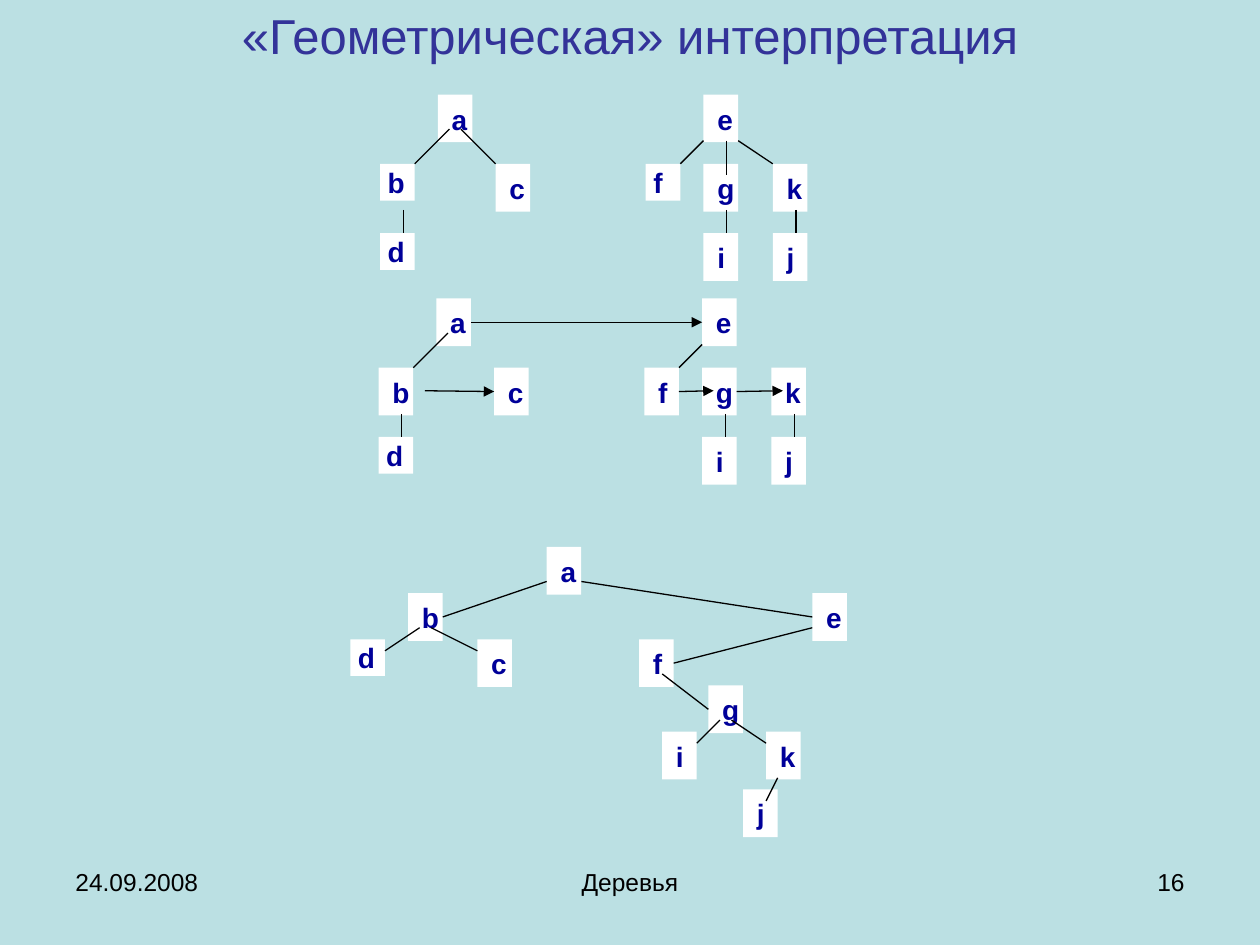
import pptx
import pptx.dml.color
import pptx.enum.shapes
import pptx.enum.text
import pptx.oxml.ns
import pptx.util
from lxml import etree

Pt = pptx.util.Pt
RGBColor = pptx.dml.color.RGBColor
ALIGN = pptx.enum.text.PP_ALIGN
ANCHOR = pptx.enum.text.MSO_ANCHOR
RECTANGLE = pptx.enum.shapes.MSO_SHAPE.RECTANGLE
STRAIGHT = pptx.enum.shapes.MSO_CONNECTOR.STRAIGHT

BACKGROUND = RGBColor(0xBB, 0xE0, 0xE3)
TITLE_COLOR = RGBColor(0x33, 0x33, 0x99)
LETTER_COLOR = RGBColor(0x00, 0x00, 0x99)
WHITE = RGBColor(0xFF, 0xFF, 0xFF)
BLACK = RGBColor(0x00, 0x00, 0x00)

# Text, (left, top, width, height), size, colour, alignment, anchor
CAPTIONS = [
    ("«Геометрическая» интерпретация", (36, 0, 648, 40.3), 28, TITLE_COLOR,
     ALIGN.CENTER, ANCHOR.MIDDLE),
    ("24.09.2008", (36, 492, 168, 37.5), 14, BLACK, ALIGN.LEFT, ANCHOR.TOP),
    ("Деревья", (246, 492, 228, 37.5), 14, BLACK, ALIGN.CENTER, ANCHOR.TOP),
    ("16", (516, 492, 168, 37.5), 14, BLACK, ALIGN.RIGHT, ANCHOR.TOP),
]

# Nodes and line ends are in grid steps from the origin of each tree.
GRID = 6.6
NODE_STEPS = 3
MIDDLE_STEPS = 2
NODE_HEIGHT, COMPACT_HEIGHT = 27.3, 21
NODE_INSETS, COMPACT_INSETS = (7.9, 4.3), (4.3, 0.7)

FOREST_NODES = {
    "a": (5, 0), "b": (0, 6), "c": (10, 6), "d": (0, 12), "e": (28, 0),
    "f": (23, 6), "g": (28, 6), "k": (34, 6), "i": (28, 12), "j": (34, 12),
}
BINARY_NODES = {
    "a": (17, 0), "b": (5, 4), "c": (11, 8), "d": (0, 8), "e": (40, 4),
    "f": (25, 8), "g": (31, 12), "k": (36, 16), "i": (27, 16), "j": (34, 21),
}
SHARED_EDGES = [
    ((6, 3), (3, 6)), ((2, 10), (2, 12)), ((28, 4), (26, 6)),
    ((30, 10), (30, 12)), ((36, 10), (36, 12)),
]
TREES = [
    {"origin": (217.2, 54), "nodes": FOREST_NODES, "compact": "bdf",
     "edges": SHARED_EDGES + [((7, 3), (10, 6)), ((30, 4), (30, 7)),
                              ((31, 4), (34, 6))],
     "arrows": []},
    {"origin": (216.4, 170.5), "nodes": FOREST_NODES, "compact": "d",
     "edges": SHARED_EDGES,
     "arrows": [((8, 2), (28, 2)), ((4, 8), (10, 8)),
                ((26, 8), (29, 8)), ((31, 8), (35, 8))]},
    {"origin": (200.2, 312.5), "nodes": BINARY_NODES, "compact": "d",
     "edges": [((8, 6), (17, 3)), ((20, 3), (40, 6)), ((6, 7), (3, 9)),
               ((7, 7), (11, 9)), ((40, 7), (28, 10)), ((27, 11), (31, 14)),
               ((33, 15), (36, 17)), ((37, 20), (36, 22)),
               ((32, 15), (30, 17))],
     "arrows": []},
]


def write(frame, text, insets, anchor, align, font):
    frame_format = {
        "word_wrap": True, "vertical_anchor": anchor,
        "margin_left": Pt(insets[0]), "margin_right": Pt(insets[0]),
        "margin_top": Pt(insets[1]), "margin_bottom": Pt(insets[1]),
    }
    for name, value in frame_format.items():
        setattr(frame, name, value)
    paragraph = frame.paragraphs[0]
    paragraph.alignment = align
    run = paragraph.add_run()
    run.text = text
    run.font.name = "Arial"
    run.font.size = Pt(font["size"])
    run.font.bold = font["bold"]
    run.font.color.rgb = font["color"]


def add_node(shapes, letter, left, top, compact):
    height = COMPACT_HEIGHT if compact else NODE_HEIGHT
    node = shapes.add_shape(RECTANGLE, Pt(left), Pt(top),
                            Pt(NODE_STEPS * GRID), Pt(height))
    node.shadow.inherit = False
    node.fill.solid()
    node.fill.fore_color.rgb = WHITE
    node.line.fill.background()
    write(node.text_frame, letter, COMPACT_INSETS if compact else NODE_INSETS,
          ANCHOR.TOP, ALIGN.LEFT,
          {"size": 16, "bold": True, "color": LETTER_COLOR})
    return node


def add_edge(shapes, start, end, arrow):
    edge = shapes.add_connector(STRAIGHT, *map(Pt, start + end))
    edge.line.color.rgb = BLACK
    edge.line.width = Pt(0.75)
    if arrow:
        etree.SubElement(edge.line._get_or_add_ln(),
                         pptx.oxml.ns.qn("a:tailEnd"), type="triangle")
    etree.SubElement(edge._element.spPr, pptx.oxml.ns.qn("a:effectLst"))
    return edge


def draw_tree(slide, tree):
    shapes = slide.shapes.add_group_shape().shapes

    def place(point):
        return tuple(start + step * GRID
                     for start, step in zip(tree["origin"], point))

    side_middles = {}
    for letter, (column, row) in tree["nodes"].items():
        compact = letter in tree["compact"]
        node = add_node(shapes, letter, *place((column, row)), compact)
        if not compact:
            middle = row + MIDDLE_STEPS
            side_middles[column, middle] = (node, 1)
            side_middles[column + NODE_STEPS, middle] = (node, 3)

    for kind in ("edges", "arrows"):
        for start, end in tree[kind]:
            edge = add_edge(shapes, place(start), place(end), kind == "arrows")
            if start in side_middles:
                edge.begin_connect(*side_middles[start])
            if end in side_middles:
                edge.end_connect(*side_middles[end])


def main():
    deck = pptx.Presentation()
    deck.slide_width, deck.slide_height = Pt(720), Pt(540)
    slide = deck.slides.add_slide(deck.slide_layouts[6])
    slide.background.fill.solid()
    slide.background.fill.fore_color.rgb = BACKGROUND

    for text, box, size, color, align, anchor in CAPTIONS:
        caption = slide.shapes.add_textbox(*map(Pt, box))
        write(caption.text_frame, text, (7.2, 3.6), anchor, align,
              {"size": size, "bold": False, "color": color})
    for tree in TREES:
        draw_tree(slide, tree)
    deck.save("out.pptx")


if __name__ == "__main__":
    main()
